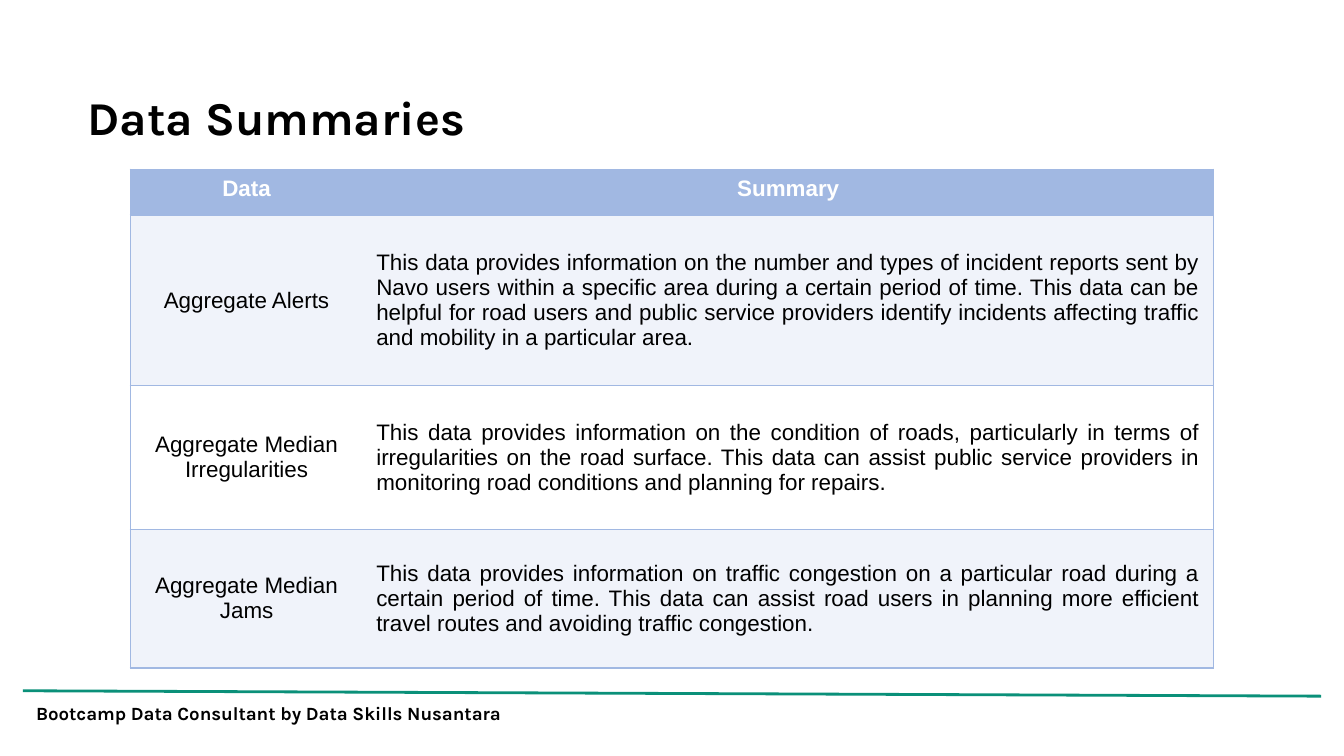
from dataclasses import dataclass

from lxml import etree
from pptx import Presentation
from pptx.dml.color import RGBColor
from pptx.enum import shapes, text
from pptx.oxml import ns
from pptx.util import Inches, Pt

TITLE = "Data Summaries"
FOOTER = "Bootcamp Data Consultant by Data Skills Nusantara"
HEADER = ("Data", "Summary")
SUMMARIES = [
    ("Aggregate Alerts",
     "This data provides information on the number and types of incident reports "
     "sent by Navo users within a specific area during a certain period of time. "
     "This data can be helpful for road users and public service providers identify "
     "incidents affecting traffic and mobility in a particular area."),
    ("Aggregate Median Irregularities",
     "This data provides information on the condition of roads, particularly in "
     "terms of irregularities on the road surface. This data can assist public "
     "service providers in monitoring road conditions and planning for repairs."),
    ("Aggregate Median Jams",
     "This data provides information on traffic congestion on a particular road "
     "during a certain period of time. This data can assist road users in planning "
     "more efficient travel routes and avoiding traffic congestion."),
]
SLIDE_WIDTH = Inches(10)
SLIDE_HEIGHT = SLIDE_WIDTH * 9 // 16
COLUMN_WIDTHS = (1.73, 6.33)
ROW_HEIGHTS = (0.34, 1.27, 1.07, 1.03)


@dataclass(frozen=True)
class Theme:
    heading_font: str = "Karla"
    body_font: str = "Arial"
    title_size: float = 25.2
    table_size: float = 12
    footer_size: float = 10
    ink: str = "000000"
    white: str = "FFFFFF"
    accent: str = "A1B8E2"
    band: str = "F0F3FA"
    rule: str = "0A9079"


THEME = Theme()


def style(paragraph, font_name, size, color, bold, align):
    font = paragraph.font
    font.name, font.size, font.bold = font_name, Pt(size), bold
    font.color.rgb = RGBColor.from_string(color)
    paragraph.alignment = align


def write_heading(shape, words, size):
    """Fill a title or footer box with bold heading text."""
    frame = shape.text_frame
    frame.text = words
    frame.word_wrap = True
    frame.vertical_anchor = text.MSO_ANCHOR.TOP
    frame.margin_left = frame.margin_right = Inches(0.1)
    frame.margin_top = frame.margin_bottom = Inches(0.1)
    style(frame.paragraphs[0], THEME.heading_font, size, THEME.ink, True,
          text.PP_ALIGN.LEFT)


def set_borders(cell, sides):
    """Draw accent lines on the given sides; the others stay empty."""
    properties = cell._tc.get_or_add_tcPr()
    for index, side in enumerate("LRTB"):
        line = etree.Element(ns.qn(f"a:ln{side}"), w=str(Pt(1)))
        if side in sides:
            fill = etree.SubElement(line, ns.qn("a:solidFill"))
            etree.SubElement(fill, ns.qn("a:srgbClr"), val=THEME.accent)
        else:
            etree.SubElement(line, ns.qn("a:noFill"))
        properties.insert(index, line)


def add_footer(slide):
    rule = slide.shapes.add_connector(
        shapes.MSO_CONNECTOR.STRAIGHT,
        Inches(0.17), Inches(5.14), Inches(9.83), Inches(5.18))
    rule.line.color.rgb = RGBColor.from_string(THEME.rule)
    rule.line.width = Pt(1.5)
    etree.SubElement(rule._element.spPr, ns.qn("a:effectLst"))
    box = slide.shapes.add_textbox(
        Inches(0.17), Inches(5.14), Inches(4.03), Inches(0.37))
    write_heading(box, FOOTER, THEME.footer_size)


def add_title(slide):
    title = slide.shapes.title
    title.left, title.top = Inches(0.55), Inches(0.56)
    title.width, title.height = Inches(6.97), Inches(0.63)
    write_heading(title, TITLE, THEME.title_size)


def add_summary_table(slide):
    rows = [HEADER, *SUMMARIES]
    table = slide.shapes.add_table(
        len(rows), len(HEADER), Inches(0.97), Inches(1.26),
        Inches(sum(COLUMN_WIDTHS)), Inches(sum(ROW_HEIGHTS))).table
    for column, width in zip(table.columns, COLUMN_WIDTHS):
        column.width = Inches(width)
    for row, height in zip(table.rows, ROW_HEIGHTS):
        row.height = Inches(height)

    for row_index, row in enumerate(rows):
        is_header = row_index == 0
        banded = THEME.band if row_index % 2 else THEME.white
        for column_index, words in enumerate(row):
            cell = table.cell(row_index, column_index)
            cell.text = words
            cell.fill.solid()
            cell.fill.fore_color.rgb = RGBColor.from_string(
                THEME.accent if is_header else banded)
            cell.vertical_anchor = (
                text.MSO_ANCHOR.TOP if is_header else text.MSO_ANCHOR.MIDDLE)
            centered = is_header or column_index == 0
            style(cell.text_frame.paragraphs[0], THEME.body_font, THEME.table_size,
                  THEME.white if is_header else THEME.ink, is_header,
                  text.PP_ALIGN.CENTER if centered else text.PP_ALIGN.JUSTIFY)
            set_borders(cell, "LTB" if column_index == 0 else "RTB")


def main():
    presentation = Presentation()
    presentation.slide_width = SLIDE_WIDTH
    presentation.slide_height = SLIDE_HEIGHT
    title_only = presentation.slide_layouts[5]
    slide = presentation.slides.add_slide(title_only)
    add_footer(slide)
    add_title(slide)
    add_summary_table(slide)
    presentation.save("out.pptx")


if __name__ == "__main__":
    main()
